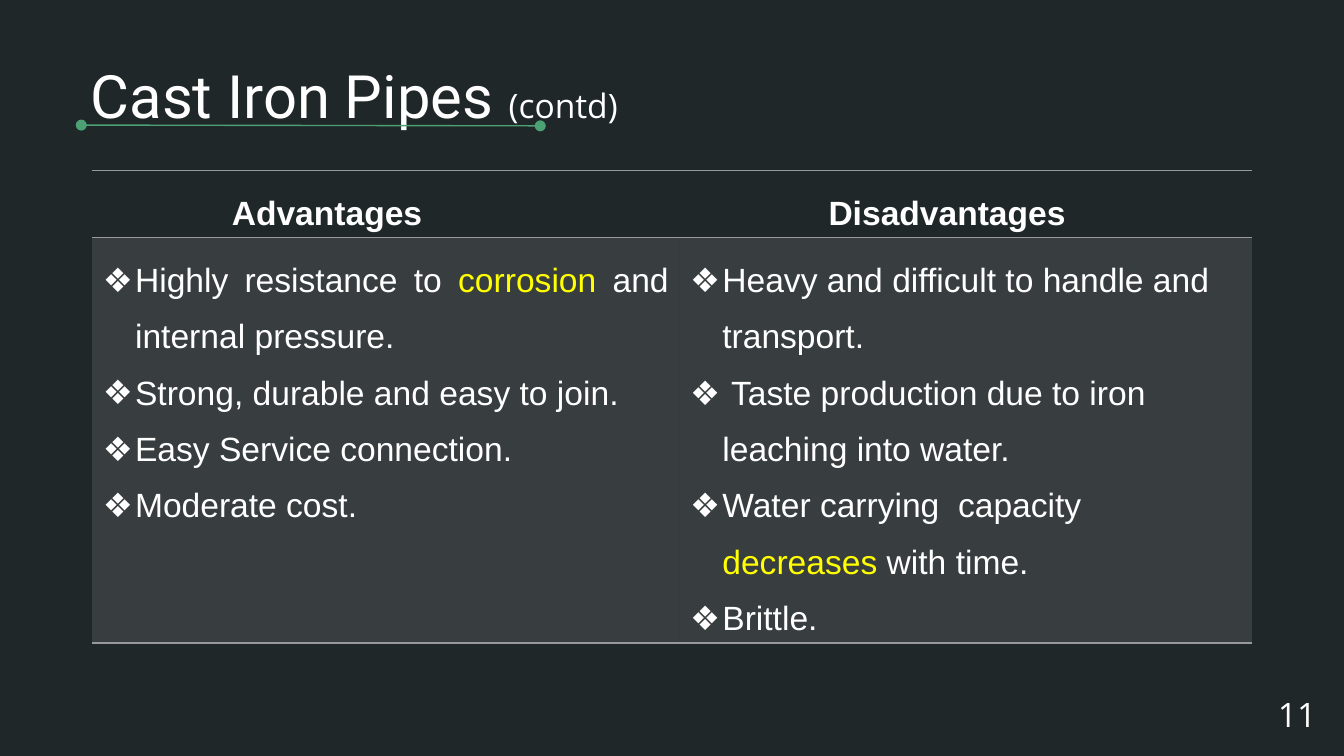
from lxml.etree import SubElement
from pptx import Presentation
from pptx.dml.color import RGBColor
from pptx.enum.shapes import MSO_CONNECTOR
from pptx.enum.text import MSO_ANCHOR, MSO_AUTO_SIZE, PP_ALIGN
from pptx.oxml import parse_xml
from pptx.oxml.ns import nsdecls, qn
from pptx.util import Inches, Pt

DARK = RGBColor(0x20, 0x27, 0x29)
WHITE = RGBColor(0xFF, 0xFF, 0xFF)
YELLOW = RGBColor(0xFF, 0xFF, 0x00)
GREY = RGBColor(0x99, 0x99, 0x99)
GREEN = RGBColor(0x4B, 0xA1, 0x73)

deck = Presentation()
WIDE = Inches(10)
HIGH = WIDE * 9 // 16
deck.slide_width, deck.slide_height = WIDE, HIGH
slide = deck.slides.add_slide(deck.slide_layouts[5])
slide.background.fill.solid()
slide.background.fill.fore_color.rgb = DARK


def place(x, y, w, h):
    return [int(WIDE * x / 100), int(HIGH * y / 100),
            int(WIDE * w / 100), int(HIGH * h / 100)]


def write(para, text, size=18, face="Arial", color=WHITE, bold=False):
    run = para.add_run()
    run.text = text
    run.font.size, run.font.name, run.font.bold = Pt(size), face, bold
    run.font.color.rgb = color


title = slide.shapes.title
title.left, title.top, title.width, title.height = place(6.05, 6.93, 86.2, 11.2)
num = slide.shapes.add_textbox(*place(92.65, 90.67, 6, 7.64))
for shape, align in ((title, PP_ALIGN.LEFT), (num, PP_ALIGN.RIGHT)):
    frame = shape.text_frame
    frame.word_wrap = True
    frame.auto_size = MSO_AUTO_SIZE.NONE
    frame.vertical_anchor = MSO_ANCHOR.MIDDLE
    frame.margin_left = frame.margin_right = Inches(0.07)
    frame.margin_top = frame.margin_bottom = Inches(0.04)
    frame.paragraphs[0].alignment = align
head = title.text_frame.paragraphs[0]
write(head, "Cast Iron Pipes ", 32, "Roboto")
write(head, "(contd)", face="Open Sans")
write(num.text_frame.paragraphs[0], "11", face="Open Sans")

heads = [("Advantages", 0.96), ("Disadvantages", 1.03)]
lists = [
    [["Highly resistance to ", "corrosion", " and internal pressure."],
     ["Strong, durable and easy to join."],
     ["Easy Service connection."],
     ["Moderate cost."]],
    [["Heavy and difficult to handle and transport."],
     [" Taste production due to iron leaching into water."],
     ["Water carrying  capacity ", "decreases", " with time."],
     ["Brittle."]],
]
aligns = [PP_ALIGN.JUSTIFY, PP_ALIGN.LEFT]
anchors = [MSO_ANCHOR.TOP, MSO_ANCHOR.MIDDLE]

area = place(6.85, 22.55, 86.3, 64.89)
grid = slide.shapes.add_table(2, 2, *area)
table = grid.table
table.first_row = table.horz_banding = False
for col, share in zip(table.columns, (43.7, 42.6)):
    col.width = int(WIDE * share / 100)
for row, share in zip(table.rows, (7.82, 25.78)):
    row.height = int(HIGH * share / 100)
grid.height = area[3]

for r in range(2):
    for c in range(2):
        cell = table.cell(r, c)
        cell.margin_left = cell.margin_right = Inches(0.08)
        cell.margin_top = cell.margin_bottom = Inches(0.04)
        props = cell._tc.get_or_add_tcPr()
        for side in "LRTB":
            fill = (f'<a:solidFill><a:srgbClr val="{GREY}"/></a:solidFill>'
                    if side in "TB" else "<a:noFill/>")
            props.append(parse_xml(
                f'<a:ln{side} {nsdecls("a")} w="{Pt(1)}">{fill}</a:ln{side}>'))
        frame = cell.text_frame
        para = frame.paragraphs[0]
        if r == 0:
            cell.fill.background()
            text, inset = heads[c]
            para._p.get_or_add_pPr().set("marL", str(Inches(inset)))
            para.line_spacing = 1.5
            write(para, text, bold=True)
            continue
        cell.vertical_anchor = anchors[c]
        cell.fill.solid()
        cell.fill.fore_color.rgb = GREY
        tint = props.find(qn("a:solidFill")).find(qn("a:srgbClr"))
        SubElement(tint, qn("a:alpha")).set("val", "20000")
        for i, item in enumerate(lists[c]):
            para = frame.add_paragraph() if i else para
            pad = para._p.get_or_add_pPr()
            pad.set("marL", str(Inches(0.24)))
            pad.set("indent", str(-Inches(0.24)))
            tone = SubElement(pad, qn("a:buClr"))
            SubElement(tone, qn("a:srgbClr")).set("val", str(WHITE))
            SubElement(pad, qn("a:buFont")).set("typeface", "Arial")
            SubElement(pad, qn("a:buChar")).set("char", "❖")
            para.alignment = aligns[c]
            para.line_spacing = 1.5
            for j, text in enumerate(item):
                write(para, text, color=YELLOW if j == 1 else WHITE)

rule = slide.shapes.add_connector(MSO_CONNECTOR.STRAIGHT,
                                  *place(6.05, 16.55, 40.2, 16.65))
rule.line.color.rgb = GREEN
rule.line.width = Pt(0.75)
line = rule.line._get_or_add_ln()
for end in ("a:headEnd", "a:tailEnd"):
    SubElement(line, qn(end)).set("type", "oval")
SubElement(rule._element.spPr, qn("a:effectLst"))

deck.save("out.pptx")
